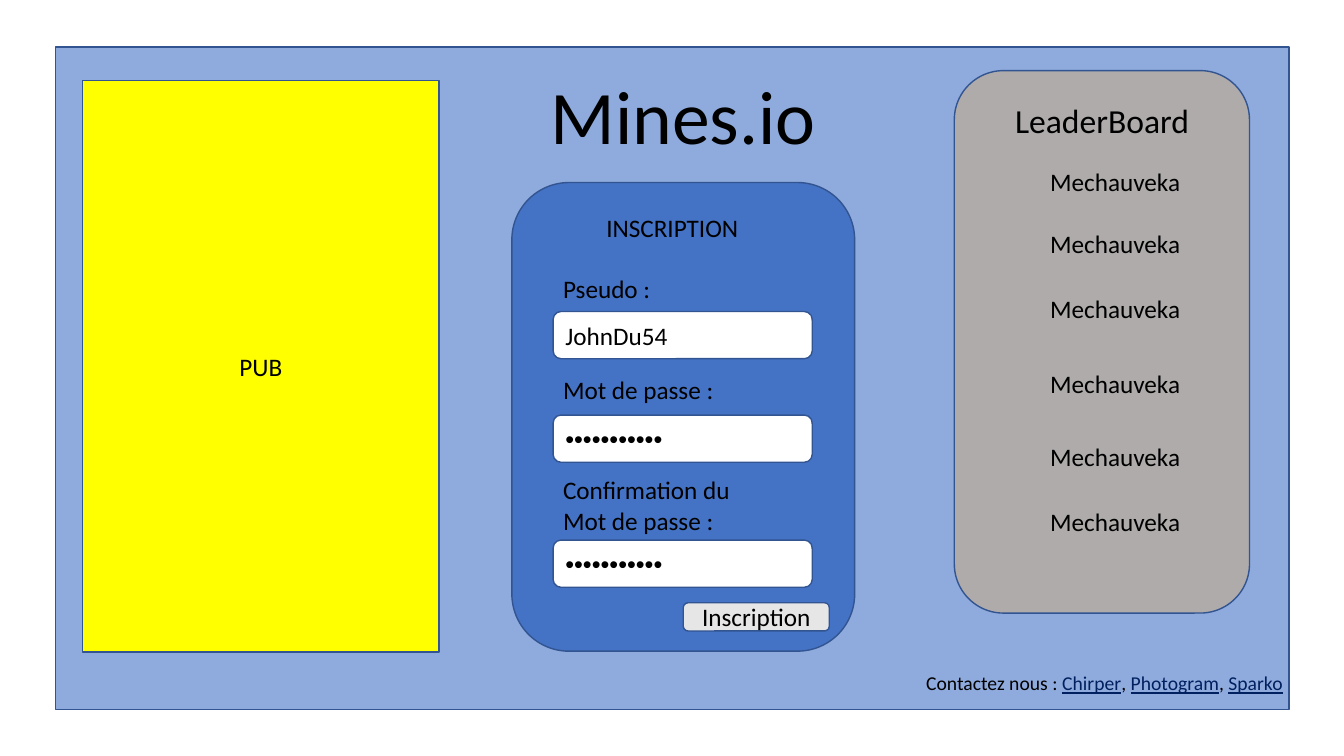
from dataclasses import dataclass

import pptx
import pptx.dml.color
import pptx.enum.shapes
import pptx.enum.text
import pptx.oxml.xmlchemy
import pptx.util
from pptx.util import Cm, Pt

RGBColor = pptx.dml.color.RGBColor
MSO_SHAPE = pptx.enum.shapes.MSO_SHAPE
PP_ALIGN = pptx.enum.text.PP_ALIGN
MSO_ANCHOR = pptx.enum.text.MSO_ANCHOR

BLACK = RGBColor(0x00, 0x00, 0x00)
WHITE = RGBColor(0xFF, 0xFF, 0xFF)
NAVY = RGBColor(0x00, 0x20, 0x60)
OUTLINE = RGBColor(0x32, 0x54, 0x91)
PAGE_BLUE = RGBColor(0x8F, 0xAA, 0xDC)
FORM_BLUE = RGBColor(0x44, 0x72, 0xC4)
BOARD_GREY = RGBColor(0xAF, 0xAB, 0xAB)
BUTTON_GREY = RGBColor(0xE7, 0xE6, 0xE6)
YELLOW = RGBColor(0xFF, 0xFF, 0x00)

FIELD_LEFT, FIELD_WIDTH, FIELD_HEIGHT = 13.94, 6.53, 1.19
PASSWORD = "•" * 11


@dataclass
class Box:
    """Position and size in centimetres."""
    left: float
    top: float
    width: float
    height: float


@dataclass
class Field:
    label: str
    label_top: float
    label_width: float
    label_height: float
    value: str
    value_top: float
    font: str = "Calibri"


def place(shape, box: Box) -> None:
    shape.left, shape.top = Cm(box.left), Cm(box.top)
    shape.width, shape.height = Cm(box.width), Cm(box.height)


def write(tf, text: str, size: float = 18, align=PP_ALIGN.LEFT,
          anchor=MSO_ANCHOR.TOP, font: str = "Calibri") -> None:
    tf.text = text
    tf.word_wrap = True
    tf.auto_size = pptx.enum.text.MSO_AUTO_SIZE.NONE
    tf.vertical_anchor = anchor
    for p in tf.paragraphs:
        p.alignment = align
        for r in p.runs:
            r.font.name = font
            r.font.size = Pt(size)
            r.font.color.rgb = BLACK


def add_panel(s, kind, box: Box, fill: RGBColor, text: str = "",
              align=PP_ALIGN.CENTER, font: str = "Calibri"):
    sp = s.shapes.add_shape(kind, 0, 0, 0, 0)
    place(sp, box)
    sp.shadow.inherit = False
    sp.fill.solid()
    sp.fill.fore_color.rgb = fill
    sp.line.color.rgb = OUTLINE
    sp.line.width = Pt(1)
    if text:
        write(sp.text_frame, text, align=align, anchor=MSO_ANCHOR.MIDDLE, font=font)
    return sp


def add_text(s, box: Box, text: str, size: float = 18, align=PP_ALIGN.LEFT):
    sp = s.shapes.add_textbox(0, 0, 0, 0)
    place(sp, box)
    write(sp.text_frame, text, size, align)
    return sp


def add_field(s, field: Field) -> None:
    add_text(s, Box(FIELD_LEFT, field.label_top, field.label_width, field.label_height),
             field.label)
    add_panel(s, MSO_SHAPE.ROUNDED_RECTANGLE,
              Box(FIELD_LEFT, field.value_top, FIELD_WIDTH, FIELD_HEIGHT),
              WHITE, field.value, PP_ALIGN.LEFT, field.font)


def add_contacts(s, box: Box, names: list[str]) -> None:
    p = add_text(s, box, "Contactez nous : ", 14).text_frame.paragraphs[0]
    for i, name in enumerate(names):
        for text, is_link in ((", ", False), (name, True)):
            if i == 0 and not is_link:
                continue
            r = p.add_run()
            r.text = text
            r.font.name = "Calibri"
            r.font.size = Pt(14)
            r.font.underline = is_link
            r.font.color.rgb = NAVY if is_link else BLACK


def fill_ranking(body, box: Box, player: str, gaps: list[float]) -> None:
    """One line per gap; each gap is the space in points above the line."""
    place(body, box)
    write(body.text_frame, "\n".join([player] * len(gaps)))
    for p, gap in zip(body.text_frame.paragraphs, gaps):
        p.space_before = Pt(gap)
        pPr = p._p.get_or_add_pPr()
        pPr.set("marL", "0")
        pPr.set("indent", "0")
        pPr.append(pptx.oxml.xmlchemy.OxmlElement("a:buNone"))


def main() -> None:
    prs = pptx.Presentation()
    prs.slide_width, prs.slide_height = Cm(33.87), Cm(19.05)
    s = prs.slides.add_slide(prs.slide_layouts[1])
    title, ranking = s.placeholders[0], s.placeholders[1]

    # Page, advertisement and site title
    page = add_panel(s, MSO_SHAPE.RECTANGLE, Box(1.4, 1.19, 31.09, 16.69), PAGE_BLUE)
    add_panel(s, MSO_SHAPE.RECTANGLE, Box(2.08, 2.03, 8.99, 14.4), YELLOW, "PUB")
    place(title, Box(12.9, 1.6, 8.64, 2.57))
    write(title.text_frame, "Mines.io", 54, PP_ALIGN.CENTER)

    # Sign-up form
    add_panel(s, MSO_SHAPE.ROUNDED_RECTANGLE, Box(12.9, 4.6, 8.64, 11.81), FORM_BLUE)
    add_text(s, Box(13.59, 5.23, 6.71, 1.02), "INSCRIPTION", align=PP_ALIGN.CENTER)
    for field in (
        Field("Pseudo :", 6.76, 3.84, 1.02, "JohnDu54", 7.85),
        Field("Mot de passe :", 9.3, 5.59, 1.02, PASSWORD, 10.46, "Arial"),
        Field("Confirmation du Mot de passe :", 11.84, 4.88, 1.8, PASSWORD, 13.61, "Arial"),
    ):
        add_field(s, field)
    add_panel(s, MSO_SHAPE.ROUNDED_RECTANGLE, Box(17.22, 15.19, 3.68, 0.71),
              BUTTON_GREY, "Inscription")

    # Leaderboard
    board = add_panel(s, MSO_SHAPE.ROUNDED_RECTANGLE, Box(24.05, 1.78, 7.44, 13.67),
                      BOARD_GREY)
    add_text(s, Box(24.84, 2.39, 5.87, 1.27), "LeaderBoard", 24, PP_ALIGN.CENTER)
    fill_ranking(ranking, Box(26.21, 4.06, 4.29, 9.66), "Mechauveka",
                 [0, 22.5, 25, 32, 30.5, 25])

    # Contact line
    add_contacts(s, Box(23.09, 16.79, 11.91, 0.86), ["Chirper", "Photogram", "Sparko"])

    # Panels go behind the placeholders
    for panel in (board, page):
        s.shapes.element.insert(2, panel.element)

    prs.save("out.pptx")


if __name__ == "__main__":
    main()
